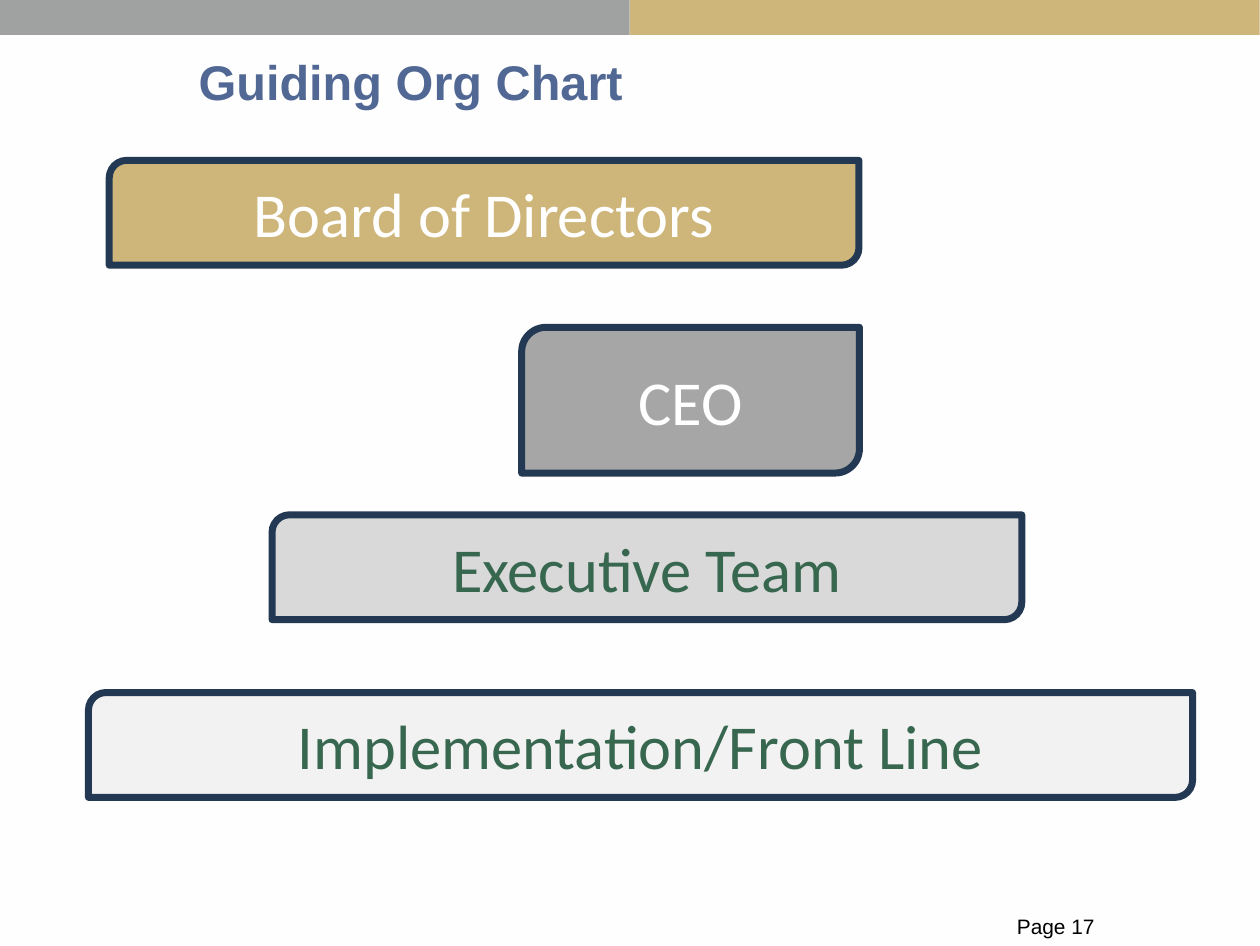
from pptx import Presentation
from pptx.dml.color import RGBColor
from pptx.enum.shapes import MSO_SHAPE
from pptx.enum.text import MSO_ANCHOR, MSO_AUTO_SIZE, PP_ALIGN
from pptx.util import Pt

SLIDE_WIDTH, SLIDE_HEIGHT = 363, 272.5
BAND_WIDTH, BAND_HEIGHT = 362.88, 10.1
NAVY, GOLD, WHITE, GREEN = "233953", "CEB67B", "FFFFFF", "386750"
LEVELS = [
    ("Board of Directors", (31.5, 46.2, 216, 30.2), GOLD, WHITE),
    ("CEO", (150.3, 94.3, 97.3, 42), "A6A6A6", WHITE),
    ("Executive Team", (78.4, 148.3, 216, 30.2), "D9D9D9", GREEN),
    ("Implementation/Front Line", (25.5, 199.5, 318.1, 30.2), "F2F2F2", GREEN),
]


def color(hex_string):
    """Turn a hex string into a colour."""
    return RGBColor.from_string(hex_string)


def points(box):
    """Turn a box of numbers into lengths in points."""
    return [Pt(length) for length in box]


def write(frame, text, *, size, ink, font="Arial", bold=False,
          align=PP_ALIGN.LEFT, anchor=MSO_ANCHOR.TOP, inset=None, spacing=None):
    """Fill a text frame with one formatted paragraph."""
    frame.word_wrap = True
    frame.auto_size = MSO_AUTO_SIZE.NONE
    frame.vertical_anchor = anchor
    if inset is not None:
        frame.margin_left = frame.margin_right = Pt(inset)
        frame.margin_top = frame.margin_bottom = Pt(inset)
    paragraph = frame.paragraphs[0]
    paragraph.alignment = align
    if spacing:
        paragraph.line_spacing = Pt(spacing)
    run = paragraph.add_run()
    run.text = text
    run.font.name, run.font.size, run.font.bold = font, Pt(size), bold
    run.font.color.rgb = color(ink)


def add_block(slide, preset, box, fill, outline=None):
    """Add a filled shape, outlined if a colour is given."""
    block = slide.shapes.add_shape(preset, *points(box))
    block.shadow.inherit = False
    block.fill.solid()
    block.fill.fore_color.rgb = color(fill)
    if outline:
        block.line.color.rgb = color(outline)
        block.line.width = Pt(2)
    else:
        block.line.fill.background()
    return block


def add_band(slide, box):
    """Split the top band into a grey and a gold half."""
    left, top, width, height = box
    half = width / 2
    for index, fill in enumerate(("A0A2A1", GOLD)):
        add_block(slide, MSO_SHAPE.RECTANGLE,
                  (left + index * half, top, half, height), fill)


def add_heading(slide, box):
    """Place the slide title."""
    heading = slide.shapes.title
    heading.left, heading.top, heading.width, heading.height = points(box)
    write(heading.text_frame, "Guiding Org Chart", size=14, ink="526894",
          bold=True, inset=0)


def add_level(slide, box, role, fill, ink):
    """Add one level of the organisation."""
    level = add_block(slide, MSO_SHAPE.ROUND_2_DIAG_RECTANGLE, box, fill, NAVY)
    write(level.text_frame, role, size=18, ink=ink, font="Calibri",
          align=PP_ALIGN.CENTER, anchor=MSO_ANCHOR.MIDDLE)


def add_page_number(slide, box):
    """Add the page number at the foot."""
    page_number = slide.shapes.add_textbox(*points(box))
    write(page_number.text_frame, "Page 17", size=6, ink="000000",
          inset=0, spacing=6.8)


def main():
    """Build the organisation slide."""
    deck = Presentation()
    deck.slide_width, deck.slide_height = Pt(SLIDE_WIDTH), Pt(SLIDE_HEIGHT)
    slide = deck.slides.add_slide(deck.slide_layouts.get_by_name("Title Only"))
    slide.background.fill.solid()
    slide.background.fill.fore_color.rgb = color("FEFEFE")
    add_band(slide, (0, 0, BAND_WIDTH, BAND_HEIGHT))
    add_heading(slide, (57.2, 14.9, 248.4, 17.3))
    for role, box, fill, ink in LEVELS:
        add_level(slide, box, role, fill, ink)
    add_page_number(slide, (293, 263.5, 26, 7.9))
    deck.save("out.pptx")


if __name__ == "__main__":
    main()
